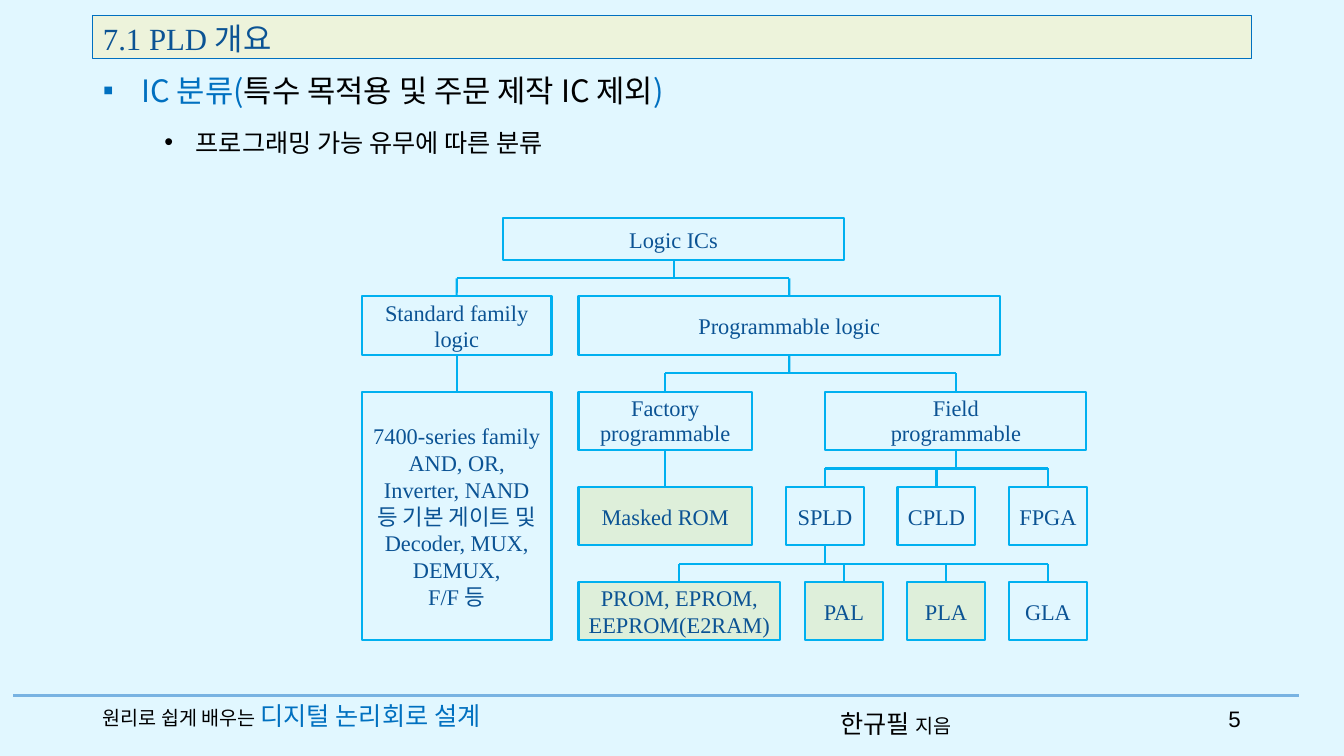
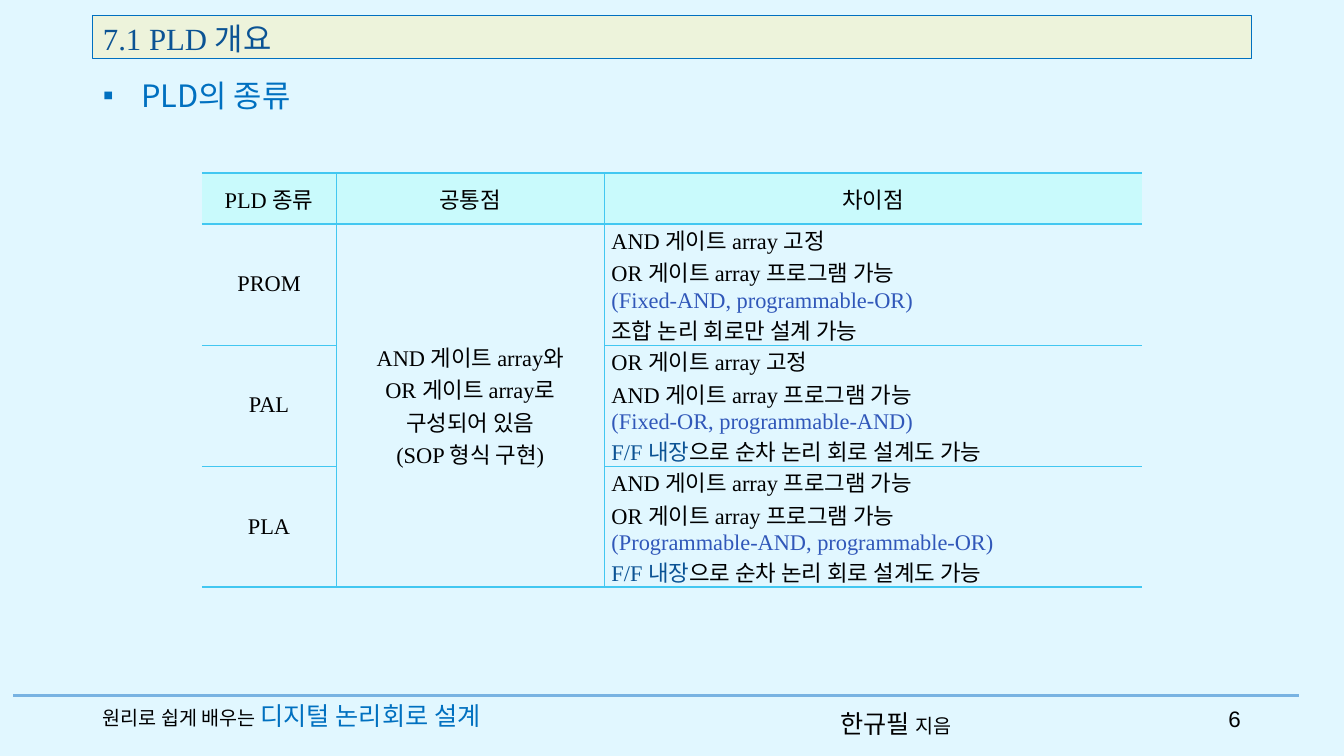
"""Builds two slides on programmable logic devices."""
from lxml.etree import SubElement
from pptx import Presentation
from pptx.dml.color import RGBColor
from pptx.enum.shapes import MSO_CONNECTOR, MSO_SHAPE
from pptx.enum.text import MSO_ANCHOR, MSO_AUTO_SIZE, PP_ALIGN
from pptx.oxml.ns import qn
from pptx.util import Cm, Pt

TIMES, NOTO, ARIAL = "Times New Roman", "Noto Sans CJK KR", "Arial"
BLACK, BLUE, NAVY, VIOLET = "000000", "0070C0", "0B5394", "3057B9"
SKY, CREAM, BAND = "E1F7FF", "EDF3DB", "78B3E2"
EDGE, GREEN = "00B0F0", "DEEFDA"
RULE, HEAD = "42C7F1", "C9FAFC"
PLAIN = "{2D5ABB26-0587-4C30-8999-92F81FD0307C}"

TITLE = [("7.1 PLD 개요", 22, NAVY)]
BOOK = [("원리로 쉽게 배우는 ", 14, BLACK), ("디지털 논리회로 설계", 18, BLUE)]
AUTHOR = [("한규필 ", 18, BLACK), ("지음", 14, BLACK)]

CLASSES = [
    (0, [("IC 분류(", 22, BLUE), ("특수 목적용 및 주문 제작 IC 제외", 22, BLACK),
         (")", 22, BLUE)]),
    (1, [("프로그래밍 가능 유무에 따른 분류", 18, BLACK)]),
]
KINDS = [(0, [("PLD의 종류", 22, BLUE)])]
BULLETS = [("▪", 0.97, 0.97, 0), ("•", 2.34, 0.79, 13)]

TOP, STEP, TALL, SMALL = 7.47, 2.4, 1.47, 1.96
LEVELS = [5.49] + [TOP + STEP * i for i in range(4)]
HIGH = STEP * 2 + TALL
BOXES = {
    "logic": (0, 12.67, 8.61, 1.07, ["Logic ICs"]),
    "standard": (1, 9.12, 4.78, TALL, ["Standard family logic"]),
    "series": (2, 9.12, 4.78, HIGH, [
        "7400-series family", "AND, OR,", "Inverter, NAND", "등 기본 게이트 및",
        "Decoder, MUX,", "DEMUX,", "F/F 등"]),
    "program": (1, 14.58, 10.62, TALL, ["Programmable logic"]),
    "factory": (2, 14.58, 4.37, TALL, ["Factory", "programmable"]),
    "field": (2, 20.8, 6.58, TALL, ["Field", "programmable"]),
    "masked": (3, 14.58, 4.37, TALL, ["Masked ROM"]),
    "spld": (3, 19.81, SMALL, TALL, ["SPLD"]),
    "cpld": (3, 22.62, SMALL, TALL, ["CPLD"]),
    "fpga": (3, 25.43, SMALL, TALL, ["FPGA"]),
    "prom": (4, 14.58, 5.08, TALL, ["PROM, EPROM,", "EEPROM(E2RAM)"]),
    "pal": (4, 20.29, SMALL, TALL, ["PAL"]),
    "pla": (4, 22.86, SMALL, TALL, ["PLA"]),
    "gla": (4, 25.43, SMALL, TALL, ["GLA"]),
}
SHADED = {"masked", "prom", "pal", "pla"}
DENSE = {"factory", "field"}
TREE = {
    "logic": ["standard", "program"],
    "standard": ["series"],
    "program": ["factory", "field"],
    "factory": ["masked"],
    "field": ["spld", "cpld", "fpga"],
    "spld": ["prom", "pal", "pla", "gla"],
}

COLS, ROWS = [3.38, 6.76, 13.54], [1.27, 3.05, 3.05, 3.05]
HEADS = ["PLD 종류", "공통점", "차이점"]
COMMON = ["AND 게이트 array와", "OR 게이트 array로", "구성되어 있음", "(SOP 형식 구현)"]
FLIP = [("F/F 내장", 16, NAVY), ("으로 순차 논리 회로 설계도 가능", 16, BLACK)]
DEVICES = [
    ("PROM", "AND 게이트 array 고정", "OR 게이트 array 프로그램 가능",
     "(Fixed-AND, programmable-OR)", [("조합 논리 회로만 설계 가능", 16, BLACK)]),
    ("PAL", "OR 게이트 array 고정", "AND 게이트 array 프로그램 가능",
     "(Fixed-OR, programmable-AND)", FLIP),
    ("PLA", "AND 게이트 array 프로그램 가능", "OR 게이트 array 프로그램 가능",
     "(Programmable-AND, programmable-OR)", FLIP),
]


def hue(code):
    return RGBColor.from_string(code)


def plain(lines, color=BLACK):
    return [[(text, 16, color)] for text in lines]


def write(frame, lines, face=TIMES, align=PP_ALIGN.LEFT):
    for i, runs in enumerate(lines):
        para = frame.paragraphs[0] if i == 0 else frame.add_paragraph()
        para.alignment = align
        _, size, color = runs[0]
        font = para.font
        font.name, font.size = face, Pt(size)
        font.color.rgb = hue(color)
        base = para._p.pPr.find(qn("a:defRPr"))
        SubElement(base, qn("a:ea")).set("typeface", NOTO)
        for text, points, shade in runs:
            run = para.add_run()
            run.text = text
            if points != size:
                run.font.size = Pt(points)
            if shade != color:
                run.font.color.rgb = hue(shade)


def place(shape, x, y, w, h):
    shape.left, shape.top, shape.width, shape.height = map(Cm, (x, y, w, h))


def label(slide, area, runs, face=TIMES, align=PP_ALIGN.LEFT):
    frame = slide.shapes.add_textbox(*map(Cm, area)).text_frame
    frame.word_wrap = True
    write(frame, [runs], face, align)


def link(slide, start, end, color=EDGE, width=1.5):
    wire = slide.shapes.add_connector(
        MSO_CONNECTOR.STRAIGHT, *map(Cm, start + end))
    wire.line.color.rgb, wire.line.width = hue(color), Pt(width)
    SubElement(wire._element.spPr, qn("a:effectLst"))
    return wire


def outline(body, items):
    for i, (level, _) in enumerate(items):
        para = body.paragraphs[0] if i == 0 else body.add_paragraph()
        mark, left, hang, gap = BULLETS[level]
        para.level = level
        props = para._p.get_or_add_pPr()
        props.set("marL", str(Cm(left)))
        props.set("indent", str(-Cm(hang)))
        SubElement(props, qn("a:buChar")).set("char", mark)
        para.space_before = Pt(gap)


def fill_list(body, items):
    outline(body, items)
    for para, (_, runs) in zip(body.paragraphs, items):
        write(Single(para), [runs], NOTO)


class Single:
    """Presents one paragraph as a frame."""

    def __init__(self, para):
        self.paragraphs = [para]


def frame_slide(deck, number, top, height, items):
    slide = deck.slides.add_slide(deck.slide_layouts[1])
    title, body = slide.placeholders
    place(title, 2.34, 0.38, 29.2, 1.09)
    title.fill.solid()
    title.fill.fore_color.rgb = hue(CREAM)
    title.line.color.rgb, title.line.width = hue(BLUE), Pt(0.75)
    place(body, 2.34, top, 28.04, height)
    for shape in (title, body):
        shape.text_frame.auto_size = MSO_AUTO_SIZE.NONE
        shape.text_frame.vertical_anchor = MSO_ANCHOR.TOP
    write(title.text_frame, [TITLE])
    fill_list(body.text_frame, items)
    link(slide, (0.33, 17.53), (32.74, 17.53), BAND, 2.5)
    label(slide, (20.93, 17.73, 3.89, 1.02), AUTHOR, NOTO)
    label(slide, (29.95, 17.65, 1.57, 1.02), [(number, 16, BLACK)], ARIAL,
          PP_ALIGN.RIGHT)
    label(slide, (2.34, 17.53, 11.76, 1.02), BOOK)
    return slide


def draw_box(slide, name):
    level, x, w, h, lines = BOXES[name]
    box = slide.shapes.add_shape(
        MSO_SHAPE.RECTANGLE, *map(Cm, (x, LEVELS[level], w, h)))
    box.shadow.inherit = False
    if name in SHADED:
        box.fill.solid()
        box.fill.fore_color.rgb = hue(GREEN)
    else:
        box.fill.background()
    box.line.color.rgb, box.line.width = hue(EDGE), Pt(1.5)
    frame = box.text_frame
    frame.word_wrap = True
    frame.vertical_anchor = MSO_ANCHOR.MIDDLE
    frame.margin_left = frame.margin_right = Cm(0.22)
    frame.margin_top = frame.margin_bottom = 0
    write(frame, plain(lines, NAVY), align=PP_ALIGN.CENTER)
    if name in DENSE:
        for para in frame.paragraphs:
            para.line_spacing = Pt(18)
    return box


def draw_tree(slide):
    boxes = {name: draw_box(slide, name) for name in BOXES}
    mid = {name: x + w / 2 for name, (_, x, w, _, _) in BOXES.items()}
    for parent, kids in TREE.items():
        level, _, _, tall, _ = BOXES[parent]
        base, roof = LEVELS[level] + tall, LEVELS[level + 1]
        bus = roof if len(kids) == 1 else (base + roof) / 2
        trunk = link(slide, (mid[parent], base), (mid[parent], bus))
        trunk.begin_connect(boxes[parent], 2)
        if len(kids) == 1:
            trunk.end_connect(boxes[kids[0]], 0)
            continue
        link(slide, (mid[kids[0]], bus), (mid[kids[-1]], bus))
        for kid in kids:
            drop = link(slide, (mid[kid], bus), (mid[kid], roof))
            drop.end_connect(boxes[kid], 0)


def border(cell, side, width):
    line = SubElement(cell._tc.get_or_add_tcPr(), qn("a:ln" + side))
    line.set("w", str(Pt(width)))
    paint = SubElement(line, qn("a:solidFill"))
    SubElement(paint, qn("a:srgbClr")).set("val", RULE)


def style(cell, row, col):
    thick, thin = 1.7, 0.28
    last = len(ROWS) - 1
    if col > 0:
        border(cell, "L", thin)
    if col < len(COLS) - 1:
        border(cell, "R", thin)
    if col != 1 or row < 2:
        border(cell, "T", thick if row < 2 else thin)
    if col != 1 or row != 2:
        border(cell, "B", thick if row in (0, last) or col == 1 else thin)
    if row == 0:
        cell.fill.solid()
        cell.fill.fore_color.rgb = hue(HEAD)
    else:
        cell.fill.background()
    cell.vertical_anchor = MSO_ANCHOR.MIDDLE
    cell.margin_left = cell.margin_right = Cm(0.18)
    cell.margin_top = cell.margin_bottom = 0


def draw_table(slide):
    area = map(Cm, (5.09, 4.37, sum(COLS), sum(ROWS)))
    table = slide.shapes.add_table(len(ROWS), len(COLS), *area).table
    table._tbl.tblPr.find(qn("a:tableStyleId")).text = PLAIN
    table.horz_banding = False
    for col, width in zip(table.columns, COLS):
        col.width = Cm(width)
    for row, height in zip(table.rows, ROWS):
        row.height = Cm(height)
    for r in range(len(ROWS)):
        for c in range(len(COLS)):
            style(table.cell(r, c), r, c)
    table.cell(1, 1).merge(table.cell(3, 1))

    def put(r, c, lines, align=PP_ALIGN.CENTER):
        write(table.cell(r, c).text_frame, lines, align=align)

    for c, head in enumerate(HEADS):
        put(0, c, plain([head]))
    put(1, 1, plain(COMMON))
    for r, (name, first, second, note, end) in enumerate(DEVICES, 1):
        put(r, 0, plain([name]))
        lines = plain([first, second]) + plain([note], VIOLET) + [end]
        put(r, 2, lines, PP_ALIGN.JUSTIFY)


def main():
    deck = Presentation()
    deck.slide_width, deck.slide_height = Cm(33.87), Cm(19.05)
    back = deck.slide_master.background.fill
    back.solid()
    back.fore_color.rgb = hue(SKY)
    draw_tree(frame_slide(deck, "5", 1.68, 2.6, CLASSES))
    draw_table(frame_slide(deck, "6", 1.8, 1.2, KINDS))
    deck.save("out.pptx")


if __name__ == "__main__":
    main()
